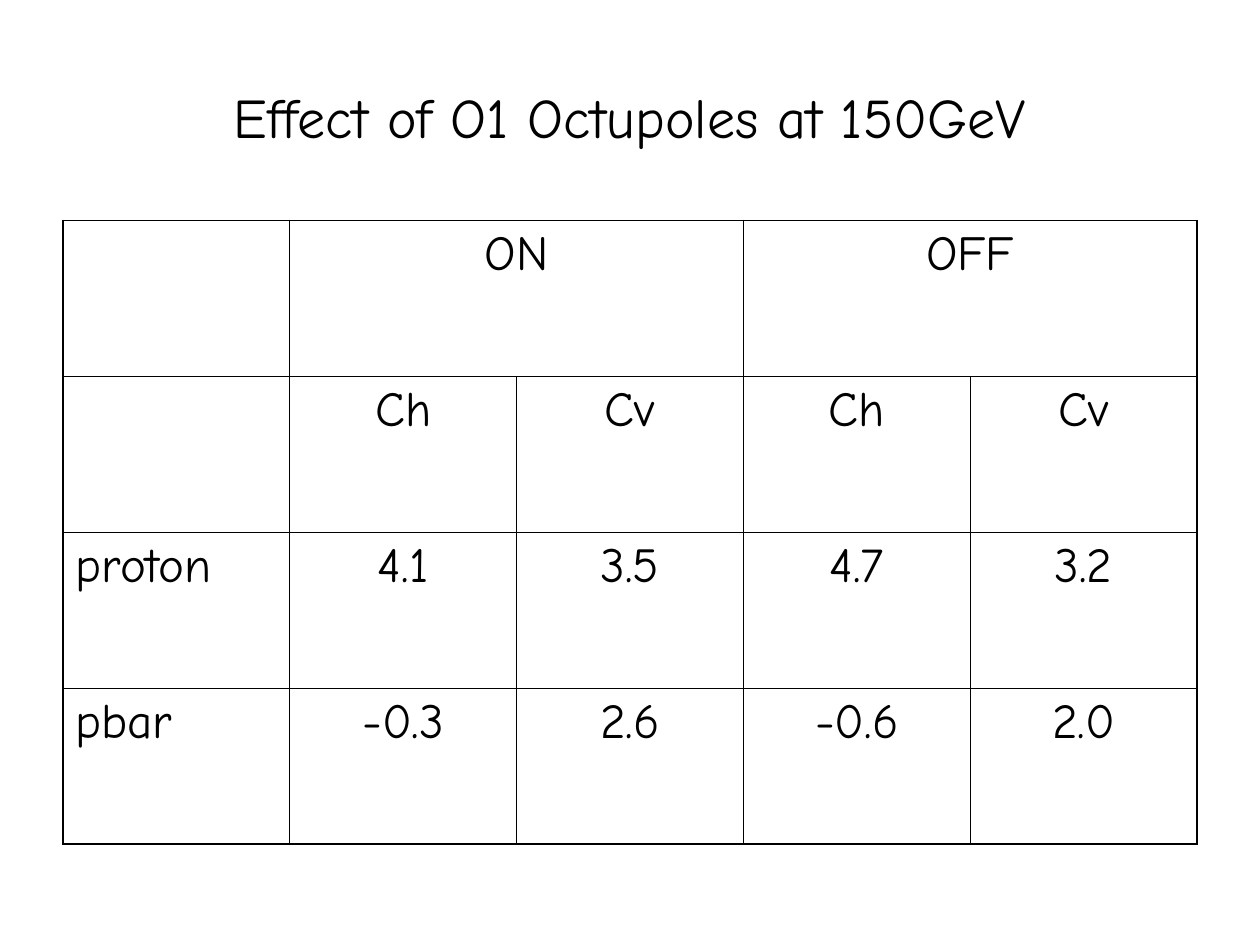
from lxml import etree
from pptx import Presentation
from pptx.dml.color import RGBColor
from pptx.enum.text import MSO_ANCHOR, PP_ALIGN
from pptx.oxml.ns import qn
from pptx.util import Inches, Pt

LEFT = PP_ALIGN.LEFT
CENTER = PP_ALIGN.CENTER
MIDDLE = MSO_ANCHOR.MIDDLE
TOP = MSO_ANCHOR.TOP

FONT = "Comic Neue"
BLACK = "000000"
INNER_WIDTH = Pt(0.45)
OUTER_WIDTH = Pt(1.08)

CHROMATICITY_ROWS = [
    ["", "ON", "", "OFF", ""],
    ["", "Ch", "Cv", "Ch", "Cv"],
    ["proton", "4.1", "3.5", "4.7", "3.2"],
    ["pbar", "-0.3", "2.6", "-0.6", "2.0"],
]


def color(hex_string):
    return RGBColor.from_string(hex_string)


def write_text(text_frame, text, size=28, alignment=CENTER, hex_color=BLACK):
    paragraph = text_frame.paragraphs[0]
    paragraph.alignment = alignment
    paragraph.font.size = Pt(size)
    run = paragraph.add_run()
    run.text = text
    run.font.name = FONT
    run.font.size = Pt(size)
    run.font.color.rgb = color(hex_color)


def set_borders(cell, widths, hex_color=BLACK):
    properties = cell._tc.get_or_add_tcPr()
    for index, (side, width) in enumerate(widths.items()):
        line = etree.Element(qn(f"a:ln{side}"), w=str(int(width)))
        fill = etree.SubElement(line, qn("a:solidFill"))
        etree.SubElement(fill, qn("a:srgbClr"), val=hex_color)
        properties.insert(index, line)


def edge_width(is_outer):
    return OUTER_WIDTH if is_outer else INNER_WIDTH


def add_title(slide, left, top, width, height):
    shape = slide.shapes.add_textbox(left, top, width, height)
    shape.text_frame.word_wrap = True
    shape.text_frame.vertical_anchor = MIDDLE
    write_text(shape.text_frame, "Effect of O1 Octupoles at 150GeV", size=32)


def add_chromaticity_table(slide, left, top, width, height):
    row_count = len(CHROMATICITY_ROWS)
    column_count = len(CHROMATICITY_ROWS[0])
    shape = slide.shapes.add_table(row_count, column_count, left, top, width, height)
    table = shape.table
    table.first_row = False
    table.horz_banding = False
    for first_column in (1, 3):
        table.cell(0, first_column).merge(table.cell(0, first_column + 1))

    for row, values in enumerate(CHROMATICITY_ROWS):
        for column, value in enumerate(values):
            cell = table.cell(row, column)
            cell.fill.background()
            cell.vertical_anchor = TOP
            last_column = column + cell.span_width - 1 if cell.is_merge_origin else column
            widths = {
                "L": edge_width(column == 0),
                "R": edge_width(last_column == column_count - 1),
                "T": edge_width(row == 0),
                "B": edge_width(row == row_count - 1),
            }
            if cell.is_spanned:
                del widths["L"]
            set_borders(cell, widths)
            if value:
                alignment = LEFT if column == 0 else CENTER
                write_text(cell.text_frame, value, alignment=alignment)


def main():
    presentation = Presentation()
    presentation.slide_width = Inches(10)
    presentation.slide_height = Inches(7.5)
    slide = presentation.slides.add_slide(presentation.slide_layouts[6])
    add_title(slide, Inches(0.5), Inches(0.3), Inches(9), Inches(1.25))
    add_chromaticity_table(slide, Inches(0.5), Inches(1.75), Inches(9), Inches(4.95))
    presentation.save("out.pptx")


if __name__ == "__main__":
    main()
